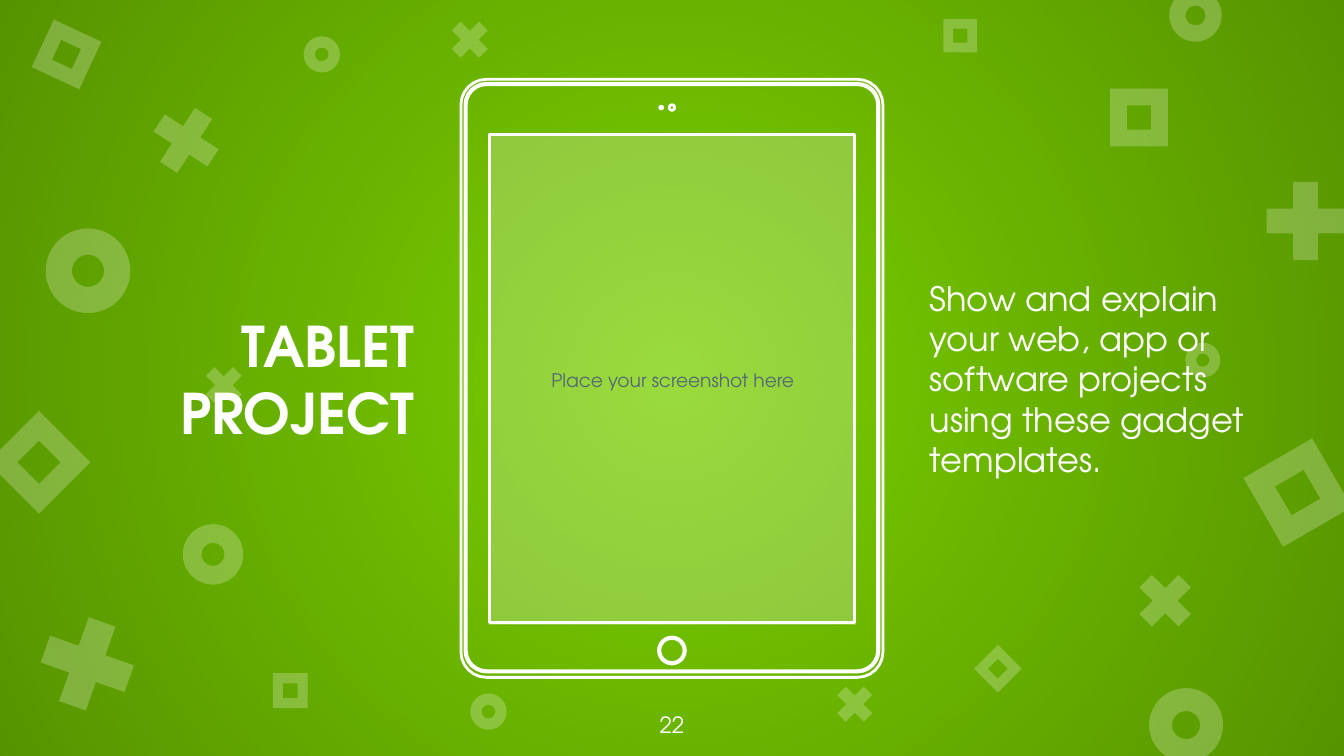
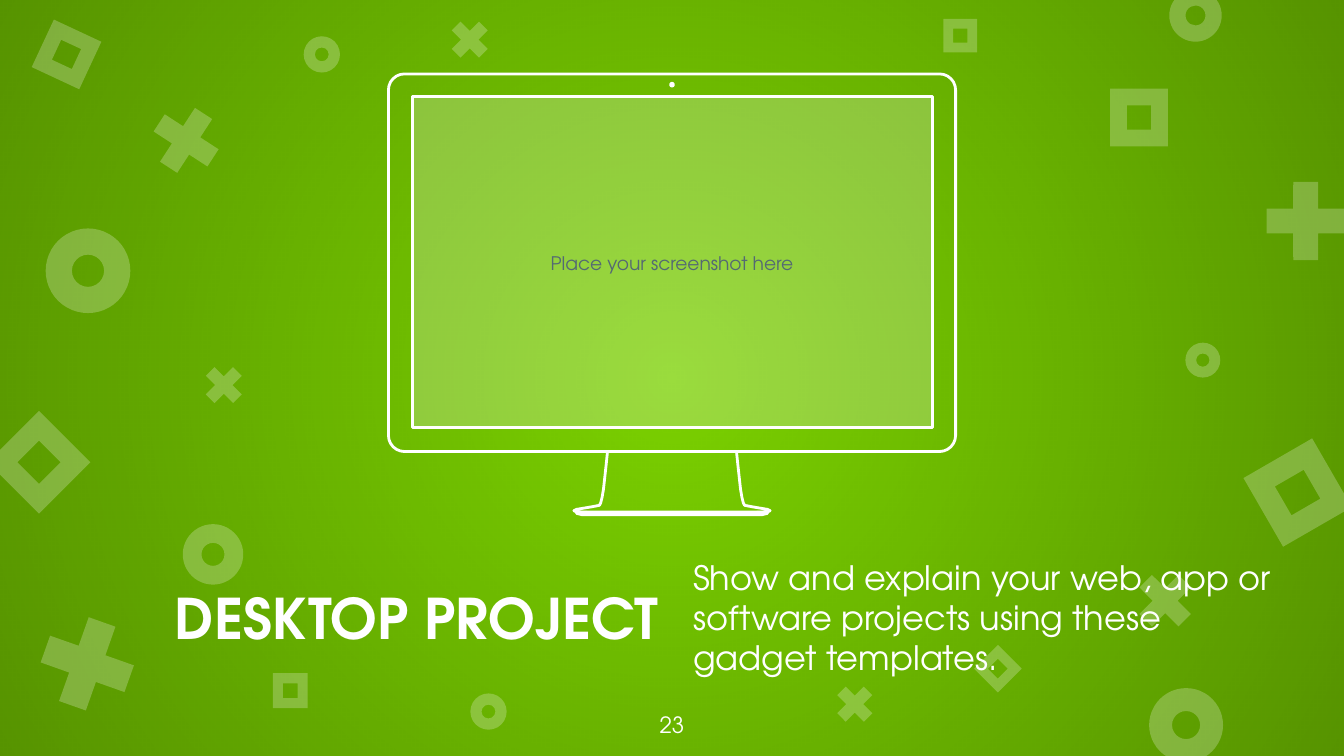
"""Build the tablet and desktop project slides on a shared patterned layout."""
import math

import pptx
import pptx.dml.color
import pptx.enum.shapes
import pptx.enum.text
import pptx.oxml
import pptx.oxml.ns
import pptx.util

Inches = pptx.util.Inches
Pt = pptx.util.Pt
SHAPE = pptx.enum.shapes.MSO_SHAPE
ALIGN = pptx.enum.text.PP_ALIGN
ANCHOR = pptx.enum.text.MSO_ANCHOR

COLORS = {"green": "7BD100", "white": "FFFFFF", "slate": "546973", "shade": "000000"}
FONT = "TeX Gyre Adventor"
WIDTH = 10
HEIGHT = WIDTH * 9 / 16
CENTER = WIDTH / 2
VEIL_ALPHA = 24
SHADE_ALPHA = 30

STYLES = {
    "title": {"size": Pt(30), "bold": True},
    "body": {"size": Pt(18), "bold": False},
    "hint": {"size": Pt(10), "bold": False},
    "number": {"size": Pt(12), "bold": False},
}

ORNAMENT_KINDS = {
    "ring": (SHAPE.DONUT, 0.31),
    "frame": (SHAPE.FRAME, 0.29),
    "cross": (SHAPE.MATH_MULTIPLY, 0.235),
}
ORNAMENTS = [
    ("ring", 8.55, 5.12, 0.55, 0),
    ("frame", 0.02, 3.17, 0.54, 45),
    ("cross", 9.32, 1.25, 0.79, 45),
    ("ring", 0.34, 1.7, 0.63, 0),
    ("frame", 9.36, 3.37, 0.59, 330),
    ("cross", 0.2, 4.49, 0.9, 334.5),
    ("ring", 1.36, 3.9, 0.45, 0),
    ("frame", 8.26, 0.66, 0.43, 0),
    ("cross", 1.06, 0.72, 0.65, 348),
    ("ring", 8.7, -0.08, 0.39, 0),
    ("frame", 0.3, 0.21, 0.39, 25),
    ("cross", 8.39, 4.19, 0.56, 0),
    ("ring", 2.26, 0.27, 0.27, 0),
    ("frame", 2.03, 5.01, 0.26, 0),
    ("cross", 3.3, 0.1, 0.39, 0),
    ("ring", 8.82, 2.55, 0.26, 0),
    ("ring", 3.5, 5.16, 0.27, 0),
    ("cross", 1.47, 2.67, 0.39, 0),
    ("cross", 6.17, 5.05, 0.38, 0),
    ("frame", 7.3, 4.85, 0.25, 315),
    ("frame", 7.02, 0.14, 0.25, 0),
]

HINT = "Place your screenshot here"
PITCH = "Show and explain your web, app or software projects using these gadget templates."

STAND_HALF = [
    (0.48, 3.36), (0.49, 3.46), (0.5, 3.55), (0.51, 3.64), (0.52, 3.7), (0.53, 3.74),
    (0.54, 3.76), (0.59, 3.77), (0.65, 3.78), (0.71, 3.79), (0.73, 3.8), (0.71, 3.81),
]
BASE_HALF = [(0.43, 3.82), (0.71, 3.81), (0.71, 3.82), (0.67, 3.83)]


def rounded(left, top, right, bottom, radius):
    """Return the points of a rounded rectangle, clockwise from the top left."""
    corners = [
        (left + radius, top + radius, 180), (right - radius, top + radius, 270),
        (right - radius, bottom - radius, 0), (left + radius, bottom - radius, 90),
    ]
    angles = range(0, 91, 15) if radius else [0]
    return [
        (x + radius * math.cos(math.radians(start + angle)),
         y + radius * math.sin(math.radians(start + angle)))
        for x, y, start in corners for angle in angles
    ]


def circle(x, y, radius):
    """Return the points of a circle."""
    return rounded(x - radius, y - radius, x + radius, y + radius, radius)


def mirrored(half):
    """Return a closed outline from offsets left of the slide centre."""
    left = [(CENTER - offset, y) for offset, y in half]
    right = [(CENTER + offset, y) for offset, y in reversed(half)]
    return left + right


SLIDES = [
    {
        "number": "22",
        "title": ("TABLET PROJECT", (0.34, 0.24, 2.84, 5.15)),
        "body": (PITCH, (6.82, 0.24, 2.84, 5.15)),
        "screen": (3.64, 1, 2.73, 3.65),
        "device": [
            circle(4.92, 0.8, 0.01),
            circle(CENTER, 0.8, 0.02),
            rounded(3.64, 1, 6.36, 4.63, 0),
            circle(CENTER, 4.84, 0.09),
            circle(CENTER, 4.84, 0.1),
            rounded(3.47, 0.63, 6.53, 4.99, 0.15),
            rounded(3.46, 0.62, 6.54, 5, 0.16),
            rounded(3.43, 0.59, 6.57, 5.04, 0.19),
        ],
    },
    {
        "number": "23",
        "title": ("DESKTOP PROJECT", (0.34, 3.75, 4.66, 1.68)),
        "body": (PITCH, (5.06, 3.75, 4.6, 1.68)),
        "screen": (3.07, 0.72, 3.86, 2.47),
        "device": [
            circle(CENTER, 0.63, 0.01),
            rounded(3.07, 0.72, 6.94, 3.18, 0),
            rounded(2.89, 0.55, 7.11, 3.36, 0.12),
            mirrored(STAND_HALF),
            mirrored(BASE_HALF),
        ],
    },
]


def rgb(name):
    return pptx.dml.color.RGBColor.from_string(COLORS[name])


def add_plain_shape(page, kind, place):
    shape = page.shapes.add_shape(kind, *map(Inches, place))
    shape.shadow.inherit = False
    shape.line.fill.background()
    return shape


def fill_veil(shape):
    shape.fill.solid()
    shape.fill.fore_color.rgb = rgb("white")
    color = shape.element.spPr.find(".//" + pptx.oxml.ns.qn("a:srgbClr"))
    color.append(pptx.oxml.parse_xml(
        f'<a:alpha {pptx.oxml.ns.nsdecls("a")} val="{VEIL_ALPHA * 1000}"/>'))


def fill_vignette(shape):
    stops = "".join(
        f'<a:gs pos="{position * 1000}"><a:srgbClr val="{COLORS["shade"]}">'
        f'<a:alpha val="{alpha * 1000}"/></a:srgbClr></a:gs>'
        for position, alpha in [(0, 0), (100, SHADE_ALPHA)])
    gradient = pptx.oxml.parse_xml(
        f'<a:gradFill {pptx.oxml.ns.nsdecls("a")} rotWithShape="1"><a:gsLst>{stops}</a:gsLst>'
        '<a:path path="circle"><a:fillToRect l="50000" t="50000" r="50000" b="50000"/>'
        '</a:path></a:gradFill>')
    shape.fill.background()
    properties = shape.element.spPr
    properties.replace(properties.find(pptx.oxml.ns.qn("a:noFill")), gradient)


def write(box, text, style, align, anchor=ANCHOR.MIDDLE, color="white", before=0):
    frame = box.text_frame
    layout = {"word_wrap": True, "vertical_anchor": anchor}
    layout.update({f"margin_{side}": Inches(0.1) for side in ("left", "top", "right", "bottom")})
    for name, value in layout.items():
        setattr(frame, name, value)
    para = frame.paragraphs[0]
    para.alignment = align
    para.space_before = Pt(before)
    span = para.add_run()
    span.text = text
    for name, value in {"name": FONT, **STYLES[style]}.items():
        setattr(span.font, name, value)
    span.font.color.rgb = rgb(color)


def add_text(page, place, *words, **options):
    write(page.shapes.add_textbox(*map(Inches, place)), *words, **options)


def decorate_layout(layout, page):
    """Draw the backdrop on a page and move it to the layout all pages share."""
    layout.background.fill.solid()
    layout.background.fill.fore_color.rgb = rgb("green")
    vignette = add_plain_shape(page, SHAPE.RECTANGLE, (0, 0, WIDTH, HEIGHT))
    fill_vignette(vignette)
    backdrop = [vignette]
    for kind, left, top, size, turn in ORNAMENTS:
        preset, thickness = ORNAMENT_KINDS[kind]
        ornament = add_plain_shape(page, preset, (left, top, size, size))
        ornament.adjustments[0] = thickness
        ornament.rotation = turn
        fill_veil(ornament)
        backdrop.append(ornament)
    for shape in backdrop:
        layout.shapes.element.append(shape.element)


def draw_device(page, contours):
    outlines = [[(Inches(x), Inches(y)) for x, y in contour] for contour in contours]
    builder = page.shapes.build_freeform(*outlines[0][0])
    for outline in outlines:
        builder.move_to(*outline[0])
        builder.add_line_segments(outline[1:], close=True)
    device = builder.convert_to_shape()
    device.shadow.inherit = False
    device.fill.background()
    device.line.color.rgb = rgb("white")
    device.line.width = Pt(1.5)


def fill_page(page, content):
    draw_device(page, content["device"])
    screen = add_plain_shape(page, SHAPE.RECTANGLE, content["screen"])
    fill_veil(screen)
    write(screen, HINT, "hint", ALIGN.CENTER, color="slate")
    for style, align in [("title", ALIGN.RIGHT), ("body", ALIGN.LEFT)]:
        text, place = content[style]
        add_text(page, place, text, style, align, before=6)
    add_text(page, (4.7, 5.19, 0.6, 0.43), content["number"], "number", ALIGN.CENTER,
             anchor=ANCHOR.TOP)


def main():
    deck = pptx.Presentation()
    deck.slide_width, deck.slide_height = Inches(WIDTH), Inches(HEIGHT)
    blank = deck.slide_layouts[6]
    pages = [deck.slides.add_slide(blank) for _ in SLIDES]
    decorate_layout(blank, pages[0])
    for page, content in zip(pages, SLIDES):
        fill_page(page, content)
    deck.save("out.pptx")


if __name__ == "__main__":
    main()
